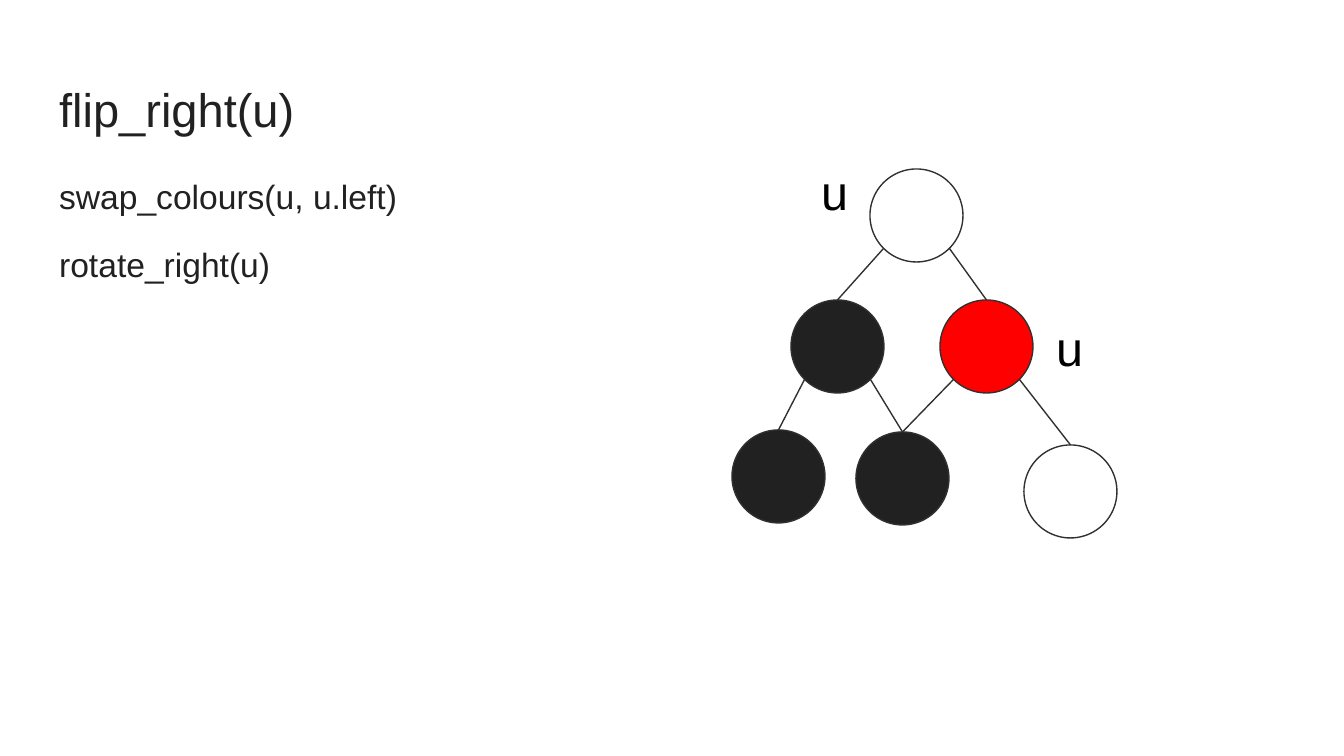
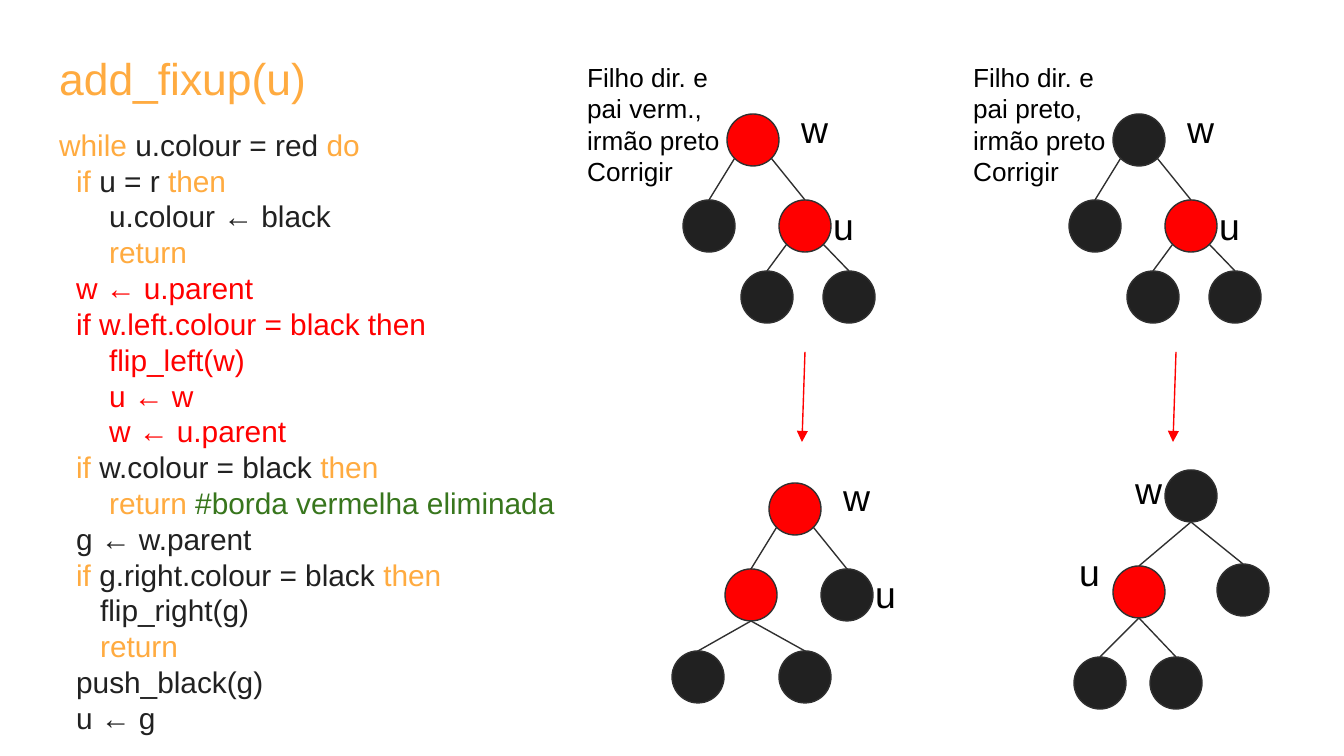
import math

import pptx
import pptx.dml.color
import pptx.enum.shapes
import pptx.enum.text
import pptx.oxml
import pptx.oxml.ns
import pptx.util

RGBColor = pptx.dml.color.RGBColor
WHITE = RGBColor(0xFF, 0xFF, 0xFF)
BLACK = RGBColor(0x00, 0x00, 0x00)
DARK = RGBColor(0x21, 0x21, 0x21)
OUTLINE = RGBColor(0x30, 0x30, 0x30)
RED = RGBColor(0xFF, 0x00, 0x00)
ORANGE = RGBColor(0xFF, 0xAB, 0x40)
GREEN = RGBColor(0x38, 0x76, 0x1D)

FONT = "Arial"
PX_PER_INCH = 134.4
SLIDE_WIDTH, SLIDE_HEIGHT = 1344, 756
LEFT_MARGIN = 46
INSET = 0.1
CASE_SHIFT = 386

# Nodes: name -> (left, top, fill). Edges: (parent, child, side the edge leaves from).
FLIP_TREE = {
    "diameter": 93,
    "nodes": {
        "root": (870, 169, WHITE),
        "left": (791, 300, DARK),
        "right": (940, 300, RED),
        "outer left": (732, 430, DARK),
        "shared": (856, 432, DARK),
        "outer right": (1024, 445, WHITE),
    },
    "edges": [
        ("root", "left", "left"), ("root", "right", "right"),
        ("left", "outer left", "left"), ("left", "shared", "right"),
        ("right", "shared", "left"), ("right", "outer right", "right"),
    ],
    "labels": [("u", 808, 149), ("u", 1043, 305)],
    "label size": (63, 86, 26),
}
FLIP_STEPS = ["swap_colours(u, u.left)", "rotate_right(u)"]

FIXUP_CODE = [
    (0, [("while ", ORANGE), ("u.colour = red ", DARK), ("do", ORANGE)]),
    (17, [("if ", ORANGE), ("u = r ", DARK), ("then", ORANGE)]),
    (50, [("u.colour ← black", DARK)]),
    (50, [("return", ORANGE)]),
    (17, [("w ← u.parent", RED)]),
    (17, [("if w.left.colour = black then", RED)]),
    (50, [("flip_left(w)", RED)]),
    (50, [("u ← w", RED)]),
    (50, [("w ← u.parent", RED)]),
    (17, [("if ", ORANGE), ("w.colour = black ", DARK), ("then", ORANGE)]),
    (50, [("return", ORANGE), (" #borda vermelha eliminada", GREEN)]),
    (17, [("g ← w.parent", DARK)]),
    (17, [("if ", ORANGE), ("g.right.colour = black ", DARK), ("then", ORANGE)]),
    (41, [("flip_right(g)", DARK)]),
    (41, [("return", ORANGE)]),
    (17, [("push_black(g)", DARK)]),
    (17, [("u ← g", DARK)]),
]
CASES = [
    ("Filho dir. e pai verm., irmão preto", RED),
    ("Filho dir. e pai preto, irmão preto", DARK),
]
CASE_ARROWS = [((805, 352), (802, 442)), ((1176, 352), (1173, 442))]
SMALL = {"diameter": 52, "label size": (35, 73, 20)}
FLIPPED_TREE = SMALL | {
    "nodes": {
        "root": (769, 483, RED),
        "left": (725, 569, RED),
        "right": (821, 569, DARK),
        "left left": (672, 651, DARK),
        "left right": (779, 651, DARK),
    },
    "edges": [
        ("root", "left", "left"), ("root", "right", "right"),
        ("left", "left left", "bottom"), ("left", "left right", "bottom"),
    ],
    "labels": [("w", 830, 461), ("u", 862, 558)],
}
FIXED_TREE = SMALL | {
    "nodes": {
        "root": (1165, 470, DARK),
        "left": (1113, 566, RED),
        "right": (1217, 564, DARK),
        "left left": (1074, 657, DARK),
        "left right": (1150, 657, DARK),
    },
    "edges": [
        ("root", "left", "bottom"), ("root", "right", "bottom"),
        ("left", "left left", "bottom"), ("left", "left right", "bottom"),
    ],
    "labels": [("w", 1122, 454), ("u", 1066, 536)],
}


def case_tree(root_fill, shift):
    """Tree before the fix-up, moved right by shift."""
    return SMALL | {
        "nodes": {
            "root": (727 + shift, 114, root_fill),
            "left": (683 + shift, 200, DARK),
            "right": (779 + shift, 200, RED),
            "right left": (741 + shift, 271, DARK),
            "right right": (823 + shift, 271, DARK),
        },
        "edges": [
            ("root", "left", "left"), ("root", "right", "right"),
            ("right", "right left", "left"), ("right", "right right", "right"),
        ],
        "labels": [("w", 788 + shift, 93), ("u", 820 + shift, 190)],
    }


def px(length):
    return pptx.util.Emu(round(length * 914400 / PX_PER_INCH))


def add_text(slide, box, lines, size, middle=False, line_spacing=None, space_before=0):
    """Lines are (indent, [(text, colour), ...]); space_before skips the first line."""
    frame = slide.shapes.add_textbox(*map(px, box)).text_frame
    frame.word_wrap = True
    frame.margin_left = frame.margin_right = pptx.util.Inches(INSET)
    frame.margin_top = frame.margin_bottom = pptx.util.Inches(INSET)
    anchor = pptx.enum.text.MSO_ANCHOR
    frame.vertical_anchor = anchor.MIDDLE if middle else anchor.TOP
    for index, (indent, runs) in enumerate(lines):
        paragraph = frame.add_paragraph() if index else frame.paragraphs[0]
        if line_spacing:
            paragraph.line_spacing = line_spacing
        if index and space_before:
            paragraph.space_before = pptx.util.Pt(space_before)
        if indent:
            paragraph._p.get_or_add_pPr().set("marL", str(px(indent)))
        for text, colour in runs:
            run = paragraph.add_run()
            run.text = text
            run.font.name = FONT
            run.font.size = pptx.util.Pt(size)
            run.font.color.rgb = colour


def add_title(slide, text, top, width, size, colour):
    add_text(slide, (LEFT_MARGIN, top, width, 85), [(0, [(text, colour)])], size, middle=True)


def add_line(slide, start, end, colour):
    connector = slide.shapes.add_connector(
        pptx.enum.shapes.MSO_CONNECTOR.STRAIGHT, *map(px, (*start, *end)))
    connector.line.color.rgb = colour
    connector.line.width = pptx.util.Pt(0.75)
    pptx.oxml.ns.qn("a:effectLst")
    properties = connector._element.spPr
    properties.append(properties.makeelement(pptx.oxml.ns.qn("a:effectLst"), {}))
    return connector


def add_arrow(slide, start, end):
    line = add_line(slide, start, end, RED).line._get_or_add_ln()
    line.append(line.makeelement(pptx.oxml.ns.qn("a:tailEnd"), {"type": "triangle"}))


def add_node(slide, left, top, fill, diameter):
    node = slide.shapes.add_shape(
        pptx.enum.shapes.MSO_SHAPE.OVAL, *map(px, (left, top, diameter, diameter)))
    node.shadow.inherit = False
    node.fill.solid()
    node.fill.fore_color.rgb = fill
    node.line.color.rgb = OUTLINE
    node.line.width = pptx.util.Pt(0.75)
    return node


def edge_start(left, top, diameter, side):
    """Point on the circle: its bottom, or 45 degrees to the left or right of it."""
    angle = math.radians({"left": 135, "bottom": 90, "right": 45}[side])
    radius = diameter / 2
    return (left + radius + radius * math.cos(angle),
            top + radius + radius * math.sin(angle))


def add_tree(slide, tree):
    diameter, nodes = tree["diameter"], tree["nodes"]
    circles = {name: add_node(slide, *node, diameter) for name, node in nodes.items()}
    for parent, child, side in tree["edges"]:
        left, top, _ = nodes[child]
        start = edge_start(*nodes[parent][:2], diameter, side)
        edge = add_line(slide, start, (left + diameter / 2, top), OUTLINE)
        edge.end_connect(circles[child], 0)
    width, height, size = tree["label size"]
    for text, left, top in tree["labels"]:
        add_text(slide, (left, top, width, height), [(0, [(text, BLACK)])], size)


def add_slide(presentation):
    slide = presentation.slides.add_slide(presentation.slide_layouts[6])
    slide.background.fill.solid()
    slide.background.fill.fore_color.rgb = WHITE
    return slide


def build_flip_slide(presentation):
    slide = add_slide(presentation)
    add_title(slide, "flip_right(u)", 66, 1253, 25.2, DARK)
    steps = [(0, [(step, DARK)]) for step in FLIP_STEPS]
    add_text(slide, (LEFT_MARGIN, 156, 536, 288), steps, 18,
             line_spacing=1.15, space_before=12)
    add_tree(slide, FLIP_TREE)


def build_fixup_slide(presentation):
    slide = add_slide(presentation)
    add_title(slide, "add_fixup(u)", 35, 335, 23.8, ORANGE)
    add_text(slide, (LEFT_MARGIN, 113, 547, 642), FIXUP_CODE, 16)
    for index, (caption, root_fill) in enumerate(CASES):
        shift = index * CASE_SHIFT
        add_tree(slide, case_tree(root_fill, shift))
        lines = [(0, [(text, BLACK)]) for text in (caption, "Corrigir")]
        add_text(slide, (574 + shift, 48, 180, 153), lines, 14)
    for start, end in CASE_ARROWS:
        add_arrow(slide, start, end)
    for tree in (FLIPPED_TREE, FIXED_TREE):
        add_tree(slide, tree)


def main():
    presentation = pptx.Presentation()
    presentation.slide_width = px(SLIDE_WIDTH)
    presentation.slide_height = px(SLIDE_HEIGHT)
    build_flip_slide(presentation)
    build_fixup_slide(presentation)
    presentation.save("out.pptx")


if __name__ == "__main__":
    main()
